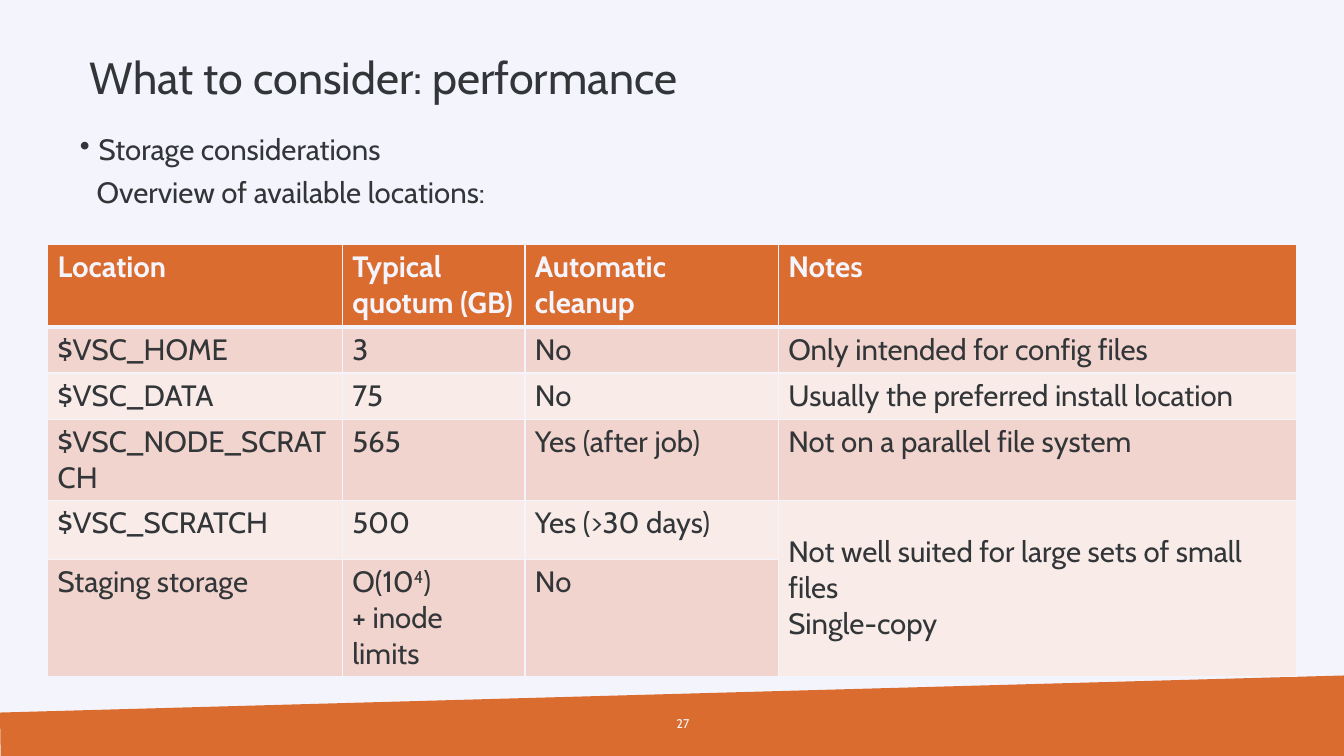
from pptx import Presentation
from pptx.dml.color import RGBColor
from pptx.enum.text import MSO_ANCHOR as Anchor, PP_ALIGN as Align
from pptx.oxml.ns import qn
from pptx.util import Pt
from lxml.etree import SubElement

COLORS = {
    "paper": "F4F5FC",
    "orange": "DB6C30",
    "ink": "333639",
    "band_dark": "F1D4CD",
    "band_light": "F8EBE8",
}


def rgb(name):
    return RGBColor.from_string(COLORS[name])


def write(tf, text, size=21, color="ink", bold=False, align=Align.LEFT,
          anchor=Anchor.TOP, spacing=None, bullet=False):
    """Fill a text frame; a newline breaks the line, ^...^ marks superscript."""
    tf.word_wrap = True
    tf.vertical_anchor = anchor
    p = tf.paragraphs[0]
    p.alignment = align
    p.line_spacing = spacing
    if bullet:
        pPr = p._p.get_or_add_pPr()
        pPr.set("marL", str(Pt(13.5)))
        pPr.set("indent", str(-Pt(13.5)))
        SubElement(pPr, qn("a:buChar"), char="•")
    for i, piece in enumerate(text.split("^")):
        for j, line in enumerate(piece.split("\n")):
            if j:
                p.add_line_break()
            r = p.add_run()
            r.text = line
            r.font.name = "Cabin"
            r.font.size = Pt(size)
            r.font.bold = bold
            r.font.color.rgb = rgb(color)
            if i % 2:
                r.font._element.set("baseline", "30000")


prs = Presentation()
prs.slide_width, prs.slide_height = Pt(960), Pt(540)
s = prs.slides.add_slide(prs.slide_layouts[6])
s.background.fill.solid()
s.background.fill.fore_color.rgb = rgb("paper")

# Slanted footer band
builder = s.shapes.build_freeform(Pt(0), Pt(509), scale=1.0)
builder.add_line_segments(
    [(Pt(960), Pt(482.5)), (Pt(960), Pt(540)), (Pt(0.5), Pt(540))], close=True)
footer = builder.convert_to_shape()
footer.shadow.inherit = False
footer.fill.solid()
footer.fill.fore_color.rgb = rgb("orange")
footer.line.fill.background()

# Page number, title and introduction
texts = [
    ("27", (460, 502.5, 39.5, 29), True,
     dict(size=9, color="paper", align=Align.RIGHT, anchor=Anchor.MIDDLE)),
    ("What to consider: performance", (57, 26, 875, 62.5), True,
     dict(size=32, anchor=Anchor.MIDDLE, spacing=0.9)),
    ("Storage considerations", (57, 96.5, 752, 31), False,
     dict(spacing=0.9, bullet=True)),
    ("Overview of available locations:", (69, 127.5, 825, 31), False,
     dict(spacing=0.9)),
]
for text, box, padded, style in texts:
    tf = s.shapes.add_textbox(*map(Pt, box)).text_frame
    if not padded:
        tf.margin_left = tf.margin_top = tf.margin_right = tf.margin_bottom = 0
    write(tf, text, **style)

# Storage locations
rows = [
    ["Location", "Typical quotum (GB)", "Automatic cleanup", "Notes"],
    ["$VSC_HOME", "3", "No", "Only intended for config files"],
    ["$VSC_DATA", "75", "No", "Usually the preferred install location"],
    ["$VSC_NODE_SCRATCH", "565", "Yes (after job)",
     "Not on a parallel file system"],
    ["$VSC_SCRATCH", "500", "Yes (>30 days)",
     "Not well suited for large sets of small files\nSingle-copy"],
    ["Staging storage", "O(10^4^)\n+ inode limits", "No", ""],
]
widths = [210.5, 130.5, 181, 370]
heights = [59, 33, 33, 58, 42, 83.5]
table = s.shapes.add_table(len(rows), len(widths), Pt(34), Pt(174.5),
                           Pt(sum(widths)), Pt(sum(heights))).table
for column, width in zip(table.columns, widths):
    column.width = Pt(width)
for row, height in zip(table.rows, heights):
    row.height = Pt(height)
table.cell(4, 3).merge(table.cell(5, 3))

for i, row in enumerate(rows):
    header = i == 0
    band = "orange" if header else "band_dark" if i % 2 else "band_light"
    for j, text in enumerate(row):
        cell = table.cell(i, j)
        tcPr = cell._tc.get_or_add_tcPr()
        for side in ("lnL", "lnR", "lnT", "lnB"):
            thick = (header and side == "lnB") or (i == 1 and side == "lnT")
            ln = SubElement(tcPr, qn("a:" + side), w=str(Pt(3 if thick else 1)))
            fill = SubElement(ln, qn("a:solidFill"))
            SubElement(fill, qn("a:srgbClr"), val=COLORS["paper"])
        cell.fill.solid()
        cell.fill.fore_color.rgb = rgb(band)
        if text:
            write(cell.text_frame, text, bold=header,
                  color="paper" if header else "ink")
            cell.vertical_anchor = (
                Anchor.MIDDLE if cell.is_merge_origin else Anchor.TOP)

prs.save("out.pptx")
